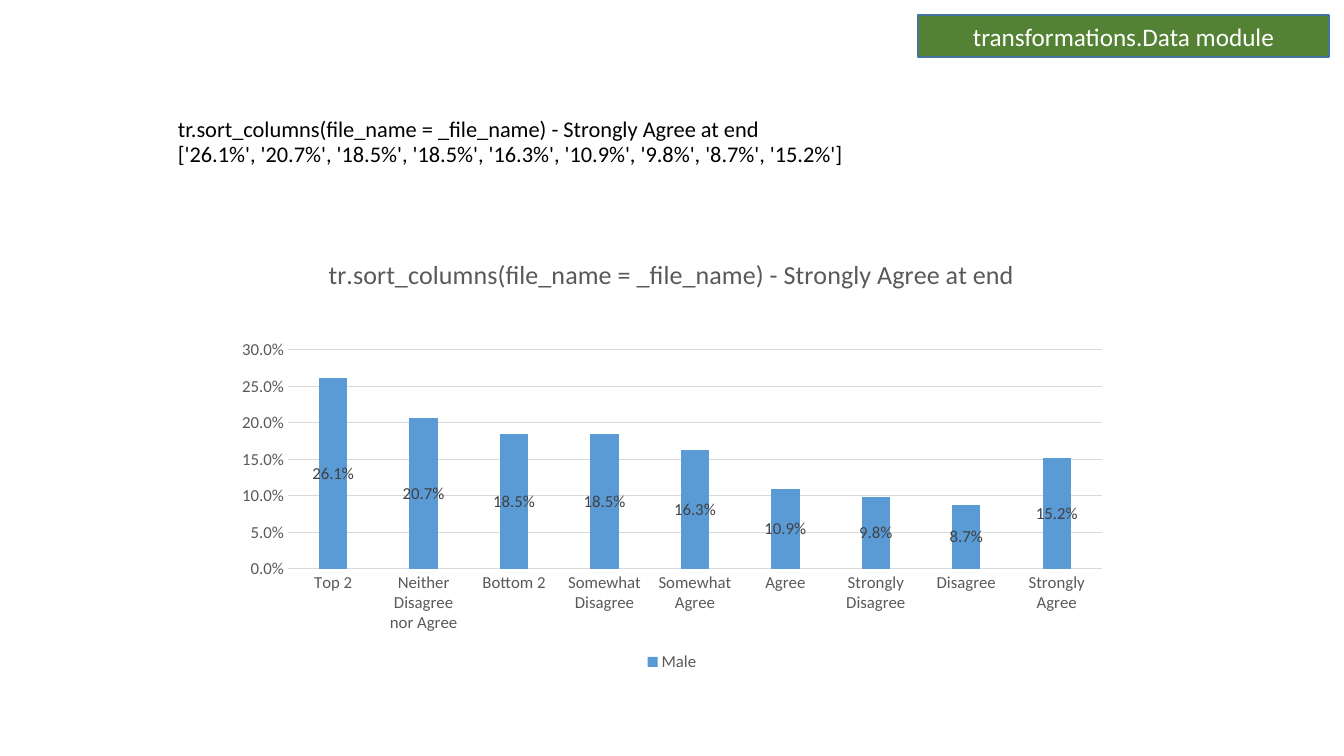
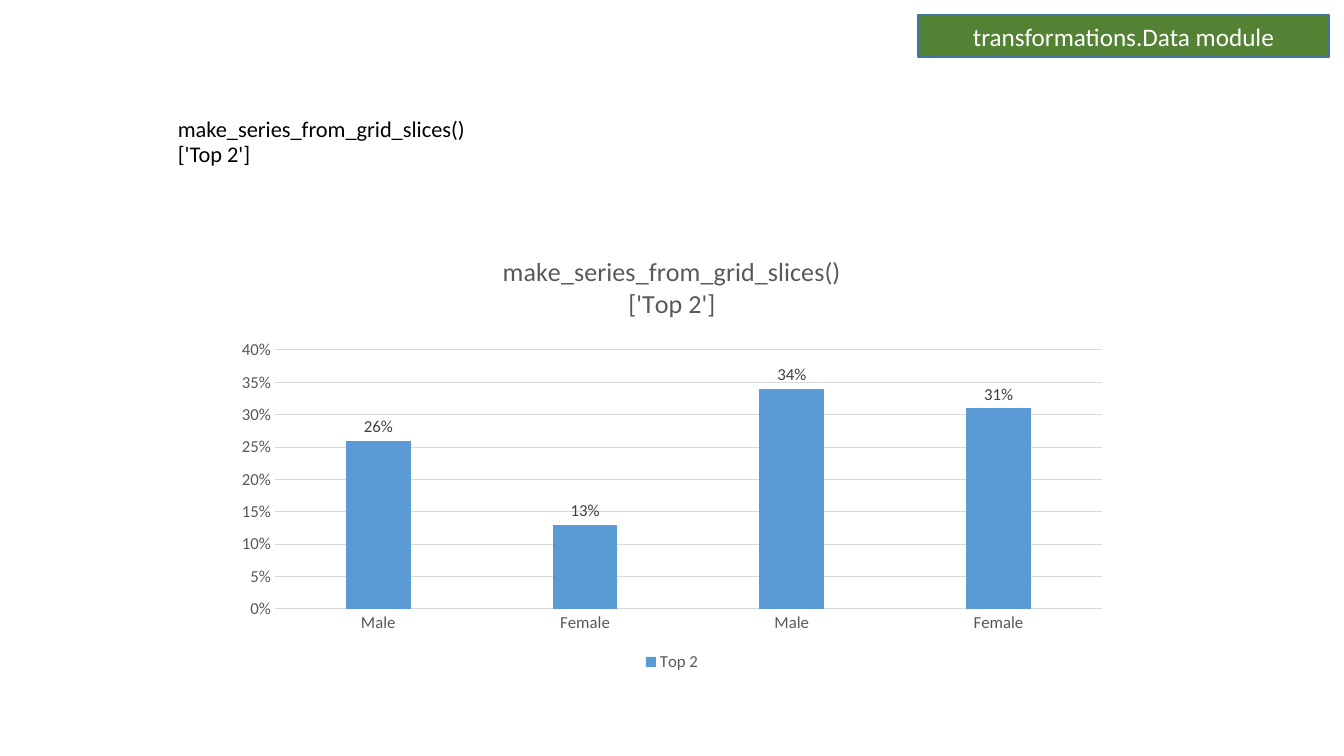
import pptx
import pptx.chart.data
import pptx.dml.color
import pptx.enum.chart
import pptx.enum.shapes
import pptx.enum.text
import pptx.util
import lxml.etree

PX = 914400 / 100.8
RGB = pptx.dml.color.RGBColor.from_string
CHART = pptx.enum.chart
TEXT = pptx.enum.text

THEME = {
    "font": "Calibri",
    "band": RGB("548235"),
    "band_line": RGB("43739E"),
    "bar": RGB("5B9BD5"),
    "grid": RGB("D9D9D9"),
    "heading": {"size": 16, "color": RGB("000000")},
    "band_text": {"size": 18, "color": RGB("FFFFFF")},
    "chart_title": {"size": 18.6, "color": RGB("595959")},
    "axis_text": {"size": 12, "color": RGB("595959")},
    "label_text": {"size": 12, "color": RGB("404040")},
}
HEADING_BOX = (168, 95, 1008, 77)
BAND_BOX = (918, 15, 411, 42)
CHART_BOX = (224, 237, 896, 439)

SLIDES = [
    {
        "heading": "tr.sort_columns(file_name = _file_name) - Strongly Agree at end\n"
                   "['26.1%', '20.7%', '18.5%', '18.5%', '16.3%', '10.9%', '9.8%', '8.7%', '15.2%']",
        "chart_title": "tr.sort_columns(file_name = _file_name) - Strongly Agree at end",
        "type": CHART.XL_CHART_TYPE.COLUMN_STACKED,
        "label_position": CHART.XL_LABEL_POSITION.CENTER,
        "overlap": 100,
        "number_format": "0.0%",
        "maximum": 0.3,
        "plot_box": (288, 350, 814, 219),
        "series": "Male",
        "values": [
            ("Top 2", 0.261), ("Neither Disagree nor Agree", 0.207), ("Bottom 2", 0.185),
            ("Somewhat Disagree", 0.185), ("Somewhat Agree", 0.163), ("Agree", 0.109),
            ("Strongly Disagree", 0.098), ("Disagree", 0.087), ("Strongly Agree", 0.152),
        ],
    },
    {
        "heading": "make_series_from_grid_slices()\n['Top 2']",
        "chart_title": "make_series_from_grid_slices()\n['Top 2']",
        "type": CHART.XL_CHART_TYPE.COLUMN_CLUSTERED,
        "label_position": CHART.XL_LABEL_POSITION.OUTSIDE_END,
        "overlap": 0,
        "number_format": "0%",
        "maximum": 0.4,
        "plot_box": (275, 350, 827, 259),
        "series": "Top 2",
        "values": [("Male", 0.26), ("Female", 0.13), ("Male", 0.34), ("Female", 0.31)],
    },
]


def emu(box):
    """Turn pixel lengths into EMU."""
    return [round(length * PX) for length in box]


def set_font(font, style):
    font.name = THEME["font"]
    font.size = pptx.util.Pt(THEME[style]["size"])
    font.bold = False
    font.color.rgb = THEME[style]["color"]


presentation = pptx.Presentation()
presentation.slide_width, presentation.slide_height = emu((1344, 756))

for content in SLIDES:
    slide = presentation.slides.add_slide(presentation.slide_layouts[6])

    # Heading
    frame = slide.shapes.add_textbox(*emu(HEADING_BOX)).text_frame
    frame.word_wrap = True
    frame.vertical_anchor = TEXT.MSO_ANCHOR.BOTTOM
    paragraph = frame.paragraphs[0]
    paragraph.text = content["heading"]
    paragraph.line_spacing = 0.9
    set_font(paragraph.font, "heading")

    # Module band
    band = slide.shapes.add_shape(pptx.enum.shapes.MSO_SHAPE.RECTANGLE, *emu(BAND_BOX))
    band.shadow.inherit = False
    band.fill.solid()
    band.fill.fore_color.rgb = THEME["band"]
    band.line.color.rgb = THEME["band_line"]
    band.line.width = pptx.util.Pt(1)
    band.text_frame.vertical_anchor = TEXT.MSO_ANCHOR.MIDDLE
    paragraph = band.text_frame.paragraphs[0]
    paragraph.text = "transformations.Data module"
    paragraph.alignment = TEXT.PP_ALIGN.CENTER
    set_font(paragraph.font, "band_text")

    # Chart
    data = pptx.chart.data.CategoryChartData(number_format=content["number_format"])
    data.categories = [category for category, value in content["values"]]
    data.add_series(content["series"], [value for category, value in content["values"]])
    chart = slide.shapes.add_chart(content["type"], *emu(CHART_BOX), data).chart
    chart.font.name = THEME["font"]
    chart.font.size = pptx.util.Pt(10)
    chart.has_title = True
    chart.chart_title.include_in_layout = False
    chart.chart_title.text_frame.text = content["chart_title"]
    for paragraph in chart.chart_title.text_frame.paragraphs:
        set_font(paragraph.font, "chart_title")
    chart.has_legend = True
    set_font(chart.legend.font, "axis_text")

    plot = chart.plots[0]
    plot.has_data_labels = True
    labels = plot.data_labels
    set_font(labels.font, "label_text")
    series = plot.series[0]
    series.format.fill.solid()
    series.format.fill.fore_color.rgb = THEME["bar"]

    category_axis, value_axis = chart.category_axis, chart.value_axis
    for axis in (category_axis, value_axis):
        set_font(axis.tick_labels.font, "axis_text")
    value_axis.format.line.fill.background()
    for line in (category_axis.format.line, value_axis.major_gridlines.format.line):
        line.color.rgb = THEME["grid"]
        line.width = pptx.util.Pt(0.75)

    no_ticks = {"major_tick_mark": CHART.XL_TICK_MARK.NONE,
                "minor_tick_mark": CHART.XL_TICK_MARK.NONE}
    number = {"number_format": content["number_format"], "number_format_is_linked": False}
    formats = [
        (chart.legend, {"position": CHART.XL_LEGEND_POSITION.BOTTOM, "include_in_layout": False}),
        (plot, {"gap_width": 219, "overlap": content["overlap"], "vary_by_categories": False}),
        (labels, {**number, "show_value": True, "position": content["label_position"]}),
        (category_axis, no_ticks),
        (value_axis, {**no_ticks, "has_major_gridlines": True, "minimum_scale": 0,
                      "maximum_scale": content["maximum"], "major_unit": 0.05}),
        (value_axis.tick_labels, number),
    ]
    for target, values in formats:
        for name, value in values.items():
            setattr(target, name, value)

    # Fixed plot area, as fractions of the chart box
    left, top, width, height = content["plot_box"]
    chart_left, chart_top, chart_width, chart_height = CHART_BOX
    settings = {
        "layoutTarget": "inner", "xMode": "edge", "yMode": "edge",
        "x": (left - chart_left) / chart_width, "y": (top - chart_top) / chart_height,
        "w": width / chart_width, "h": height / chart_height,
    }
    namespace = "{http://schemas.openxmlformats.org/drawingml/2006/chart}"
    plot_area = chart.element.find(f".//{namespace}plotArea")
    for old_layout in plot_area.findall(f"{namespace}layout"):
        plot_area.remove(old_layout)
    layout = lxml.etree.Element(f"{namespace}layout")
    manual = lxml.etree.SubElement(layout, f"{namespace}manualLayout")
    for name, value in settings.items():
        lxml.etree.SubElement(manual, f"{namespace}{name}").set("val", str(value))
    plot_area.insert(0, layout)

presentation.save("out.pptx")
